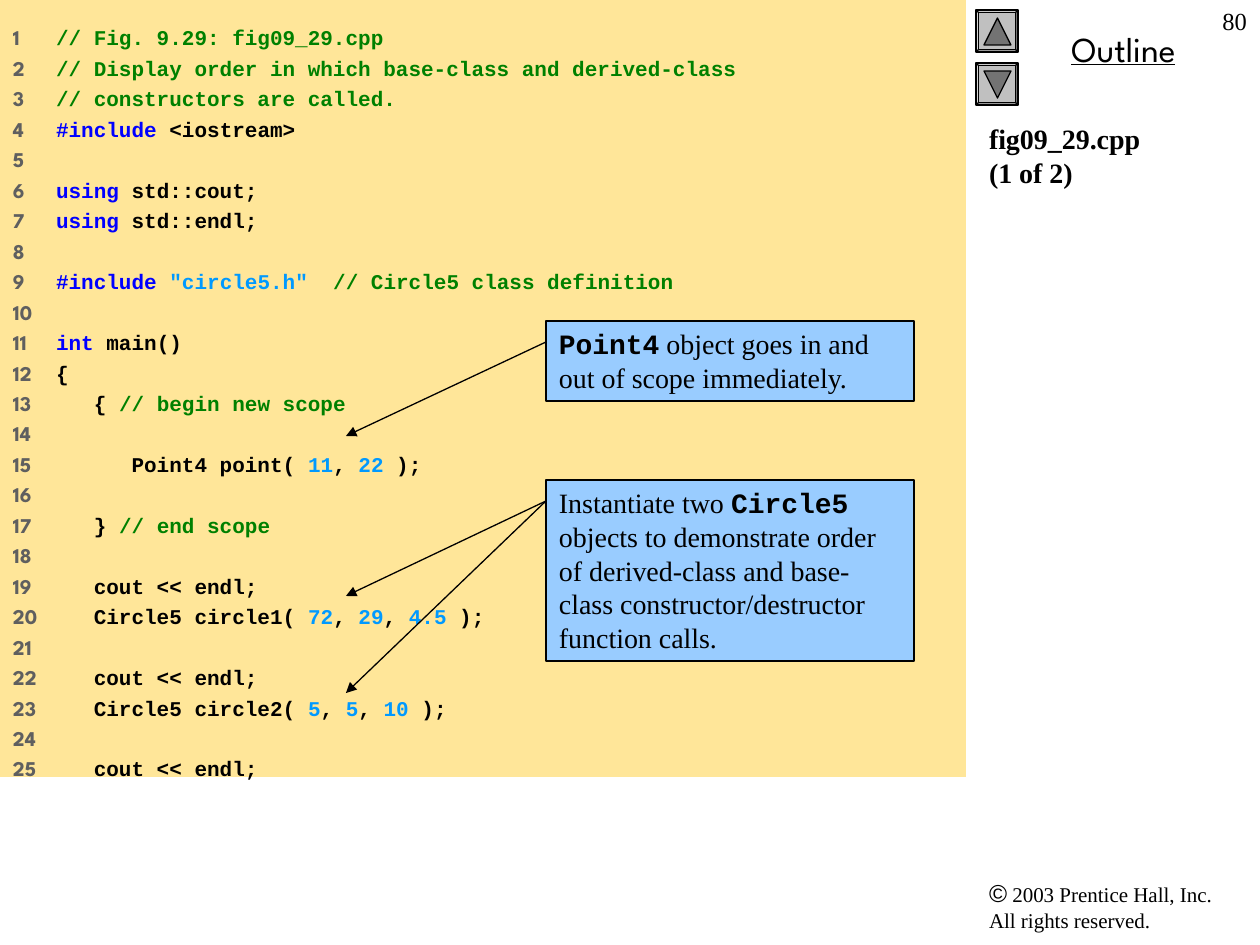
from lxml import etree
from pptx import Presentation
from pptx.dml.color import RGBColor
from pptx.enum.shapes import MSO_CONNECTOR, MSO_SHAPE
from pptx.enum.text import MSO_ANCHOR, MSO_AUTO_SIZE, PP_ALIGN
from pptx.oxml.ns import qn
from pptx.util import Pt

LEFT, CENTER, RIGHT = PP_ALIGN.LEFT, PP_ALIGN.CENTER, PP_ALIGN.RIGHT
TOP = MSO_ANCHOR.TOP
NO_AUTOFIT = MSO_AUTO_SIZE.NONE
STRAIGHT = MSO_CONNECTOR.STRAIGHT
RECTANGLE, BEVEL = MSO_SHAPE.RECTANGLE, MSO_SHAPE.BEVEL
TRIANGLE = MSO_SHAPE.ISOSCELES_TRIANGLE

EMU_PER_PX = 914400 / 126
SERIF, MONO, DISPLAY, SANS = "Times New Roman", "Courier New", "League Spartan", "Arial"
COLORS = {
    "plain": "000000",
    "comment": "008000",
    "keyword": "0000FF",
    "literal": "0099FF",
    "number": "5F5F5F",
    "code_panel": "FFE699",
    "callout": "99CCFF",
    "button": "C0C0C0",
    "button_arrow": "737373",
}

COUT_LINE = [("   cout << endl;", "plain")]


def declaration(start, *values):
    """Code segments of an object declaration with literal arguments."""
    segments = [(start + "( ", "plain")]
    for index, value in enumerate(values):
        if index:
            segments.append((", ", "plain"))
        segments.append((value, "literal"))
    return segments + [(" );", "plain")]


CODE_LINES = [
    [("// Fig. 9.29: fig09_29.cpp", "comment")],
    [("// Display order in which base-class and derived-class", "comment")],
    [("// constructors are called.", "comment")],
    [("#include", "keyword"), (" <iostream>", "plain")],
    [],
    [("using", "keyword"), (" std::cout;", "plain")],
    [("using", "keyword"), (" std::endl;", "plain")],
    [],
    [("#include ", "keyword"), ('"circle5.h" ', "literal"),
     (" // Circle5 class definition", "comment")],
    [],
    [("int", "keyword"), (" main()", "plain")],
    [("{", "plain")],
    [("   { ", "plain"), ("// begin new scope", "comment")],
    [],
    declaration("      Point4 point", "11", "22"),
    [],
    [("   } ", "plain"), ("// end scope", "comment")],
    [],
    COUT_LINE,
    declaration("   Circle5 circle1", "72", "29", "4.5"),
    [],
    COUT_LINE,
    declaration("   Circle5 circle2", "5", "5", "10"),
    [],
    COUT_LINE,
]


def px(length):
    return round(length * EMU_PER_PX)


def color(name):
    return RGBColor.from_string(COLORS[name])


def format_run(run, font_name, size, color_name="plain", bold=False, underline=False):
    font = run.font
    font.name = font_name
    font.size = Pt(size)
    font.color.rgb = color(color_name)
    font.bold = bold
    font.underline = underline


def add_run(paragraph, text, *style, **options):
    run = paragraph.add_run()
    run.text = text
    format_run(run, *style, **options)


def set_up_frame(shape, inset_x=13, inset_y=6):
    frame = shape.text_frame
    frame.word_wrap = True
    frame.auto_size = NO_AUTOFIT
    frame.vertical_anchor = TOP
    frame.margin_left = frame.margin_right = px(inset_x)
    frame.margin_top = frame.margin_bottom = px(inset_y)
    return frame


def add_filled_shape(slide, kind, box, fill, outlined=True):
    shape = slide.shapes.add_shape(kind, *map(px, box))
    shape.shadow.inherit = False
    shape.fill.solid()
    shape.fill.fore_color.rgb = color(fill)
    if outlined:
        shape.line.color.rgb = color("plain")
        shape.line.width = Pt(0.75)
    else:
        shape.line.fill.background()
    return shape


def add_text(slide, box, alignment=LEFT):
    """Add a text box and return its first paragraph."""
    shape = slide.shapes.add_textbox(*map(px, box))
    paragraph = set_up_frame(shape).paragraphs[0]
    paragraph.alignment = alignment
    return paragraph


def add_button(slide, top, rotation):
    button = add_filled_shape(slide, BEVEL, (976, top, 42, 42), "button")
    button.adjustments[0] = 0.06
    arrow = add_filled_shape(slide, TRIANGLE, (984, top + 8, 27, 27), "button_arrow")
    arrow.rotation = rotation


def set_title(slide, box, text):
    title = slide.shapes.title
    title.left, title.top, title.width, title.height = map(px, box)
    frame = set_up_frame(title)
    frame.text = text
    paragraph = frame.paragraphs[0]
    paragraph.alignment = LEFT
    for run in paragraph.runs:
        format_run(run, SERIF, 16, bold=True)


def add_tab_stop(paragraph, position):
    tabs = etree.SubElement(paragraph._p.get_or_add_pPr(), qn("a:tabLst"))
    etree.SubElement(tabs, qn("a:tab"), pos=str(px(position)), algn="l")


def add_code_panel(slide, box):
    panel = add_filled_shape(slide, RECTANGLE, box, "code_panel", outlined=False)
    frame = set_up_frame(panel, inset_y=25)
    for number, segments in enumerate(CODE_LINES, start=1):
        paragraph = frame.paragraphs[0] if number == 1 else frame.add_paragraph()
        paragraph.alignment = LEFT
        if number > 1:
            paragraph.space_before = Pt(3)
        add_tab_stop(paragraph, 43)
        label = f"{number}\t" if segments else str(number)
        add_run(paragraph, label, DISPLAY, 12, "number", bold=True)
        for text, kind in segments:
            add_run(paragraph, text, MONO, 12, kind, bold=True)


def add_callout(slide, box, segments, arrow_ends):
    """Add a note of (text, is_code) segments with arrows to the code lines."""
    left, top = box[:2]
    note = add_filled_shape(slide, RECTANGLE, box, "callout")
    paragraph = set_up_frame(note).paragraphs[0]
    paragraph.alignment = LEFT
    for text, is_code in segments:
        add_run(paragraph, text, MONO if is_code else SERIF, 16, bold=is_code)
    for end in arrow_ends:
        add_arrow(slide, (left, top + 21), end)


def add_arrow(slide, start, end):
    arrow = slide.shapes.add_connector(STRAIGHT, *map(px, start + end))
    arrow.line.color.rgb = color("plain")
    arrow.line.width = Pt(0.75)
    etree.SubElement(arrow.line._get_or_add_ln(), qn("a:tailEnd"), type="triangle")
    etree.SubElement(arrow._element.spPr, qn("a:effectLst"))


def main():
    presentation = Presentation()
    presentation.slide_width, presentation.slide_height = px(1260), px(945)
    slide = presentation.slides.add_slide(presentation.slide_layouts[5])

    copyright_line = add_text(slide, (976, 872, 273, 68))
    add_run(copyright_line, "©", SANS, 14)
    add_run(copyright_line, " 2003 Prentice Hall, Inc.", SERIF, 12)
    copyright_line.add_line_break()
    add_run(copyright_line, "All rights reserved.", SERIF, 12)

    outline = add_text(slide, (987, 21, 273, 55), CENTER)
    add_run(outline, "Outline", DISPLAY, 20, underline=True)
    add_button(slide, 10, 0)
    add_button(slide, 63, 180)
    set_title(slide, (976, 116, 284, 661), "fig09_29.cpp\v(1 of 2)")

    add_code_panel(slide, (0, 0, 966, 777))
    add_callout(slide, (546, 321, 368, 80),
                [("Point4", True),
                 (" object goes in and out of scope immediately.", False)],
                [(346, 436)])
    add_callout(slide, (546, 480, 368, 181),
                [("Instantiate two ", False), ("Circle5", True),
                 (" objects to demonstrate order of derived-class and base-class "
                  "constructor/destructor function calls.", False)],
                [(346, 596), (346, 693)])

    page_number = add_text(slide, (1197, 0, 63, 63), RIGHT)
    add_run(page_number, "80", SERIF, 14)

    presentation.save("out.pptx")


if __name__ == "__main__":
    main()
